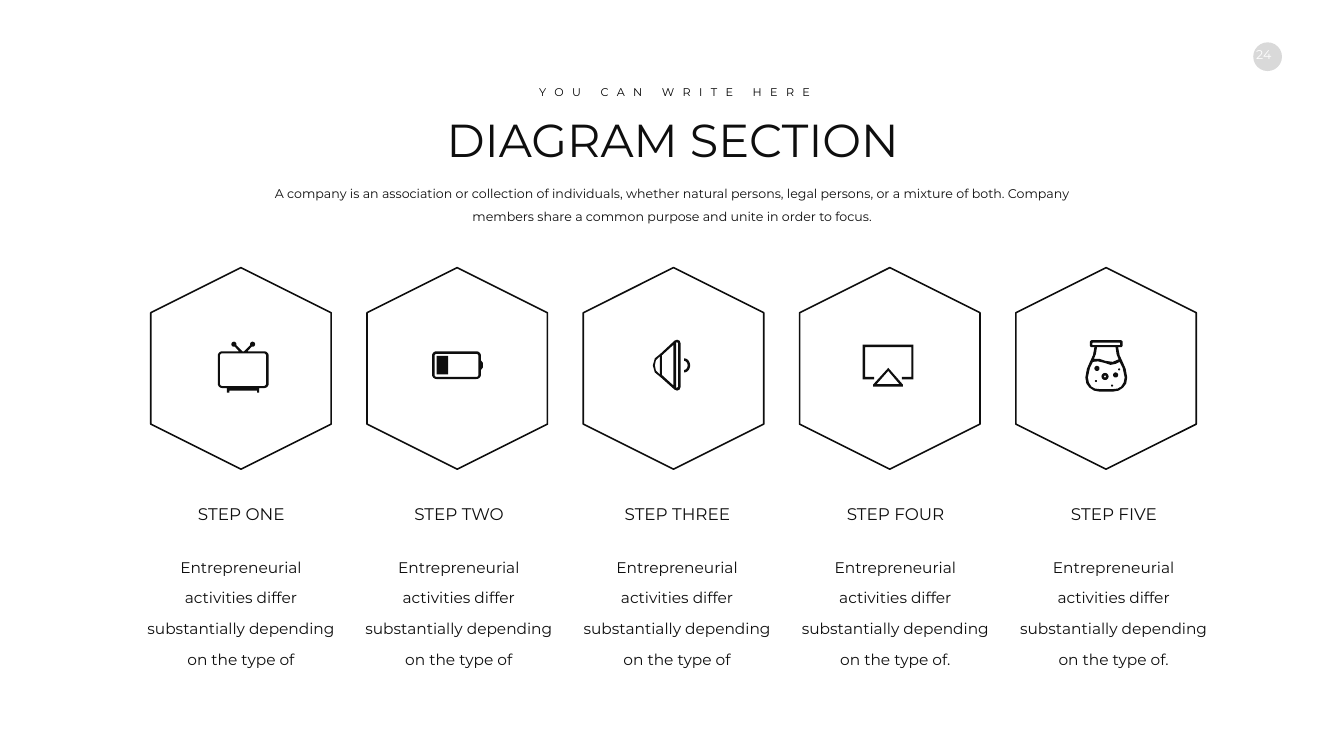
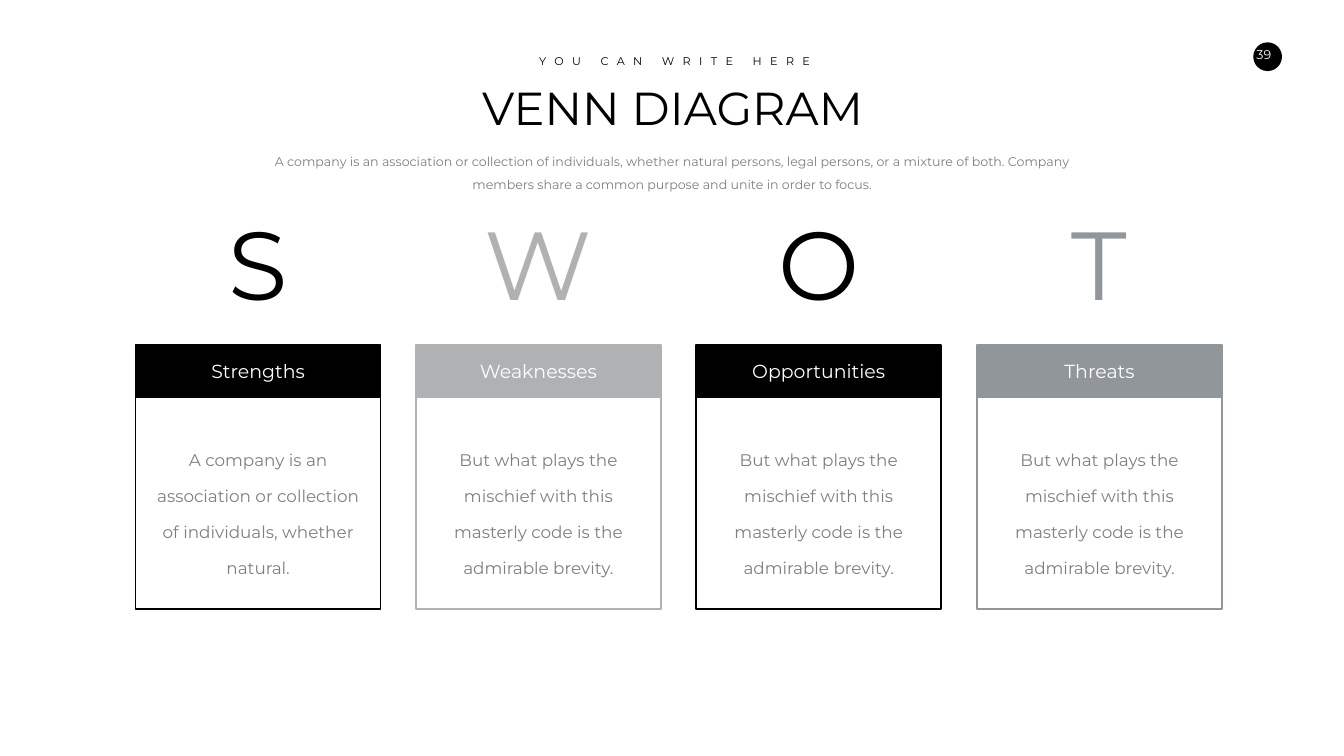
from dataclasses import dataclass
from math import cos, radians, sin

from lxml.etree import SubElement
from pptx import Presentation
from pptx.dml.color import RGBColor
from pptx.enum.shapes import MSO_SHAPE
from pptx.enum.text import MSO_ANCHOR, PP_ALIGN
from pptx.oxml.ns import qn
from pptx.util import Pt

PX = 9144  # EMU in one px, 100 px to the inch


@dataclass(frozen=True)
class Theme:
    font: str = "Montserrat"
    black: str = "000000"
    ink: str = "0E0E0E"
    white: str = "FFFFFF"
    grey: str = "7F7F7F"
    silver: str = "B0B1B3"
    slate: str = "91969B"
    kicker: int = 16
    small: int = 18
    step_text: int = 22
    label: int = 24
    band: int = 27
    title: int = 66
    letter: int = 138
    outline: float = 2.25


THEME = Theme()
INSETS = (10, 5, 10, 5)
CARD_INSETS = (27, 13, 27, 13)
BLURB = ("A company is an association or collection of individuals, whether natural persons, "
         "legal persons, or a mixture of both. Company members share a common purpose "
         "and unite in order to focus.")


# Shared helpers
def assign(target, values):
    for name, value in values.items():
        setattr(target, name, value)


def emu(*lengths):
    return [round(length * PX) for length in lengths]


def write(shape, text, size, color, insets=INSETS, spacing=None, middle=False, wrap=True, tracking=0):
    left, top, right, bottom = emu(*insets)
    frame = shape.text_frame
    assign(frame, {
        "margin_left": left, "margin_top": top, "margin_right": right, "margin_bottom": bottom,
        "word_wrap": wrap,
        "vertical_anchor": MSO_ANCHOR.MIDDLE if middle else MSO_ANCHOR.TOP,
    })
    paragraph = frame.paragraphs[0]
    assign(paragraph, {"alignment": PP_ALIGN.CENTER, "line_spacing": spacing})
    run = paragraph.add_run()
    run.text = text
    assign(run.font, {"name": THEME.font, "size": Pt(size)})
    run.font.color.rgb = RGBColor.from_string(color)
    if tracking:
        run.font._element.set("spc", str(tracking * 100))


def add_text(slide, box, text, size, color, **options):
    write(slide.shapes.add_textbox(*emu(*box)), text, size, color, **options)


def paint(shape, fill=None, line=None):
    shape.shadow.inherit = False
    if fill:
        shape.fill.solid()
        shape.fill.fore_color.rgb = RGBColor.from_string(fill)
    else:
        shape.fill.background()
    if line:
        shape.line.color.rgb = RGBColor.from_string(line)
        shape.line.width = Pt(THEME.outline)
    else:
        shape.line.fill.background()


def add_figure(slide, preset, box, fill=None, line=None):
    shape = slide.shapes.add_shape(preset, *emu(*box))
    paint(shape, fill, line)
    return shape


# Regions found on both slides
def page_badge(slide, left, top, number):
    add_figure(slide, MSO_SHAPE.OVAL, (left + 16, top, 57, 57), THEME.black)
    add_text(slide, (left, top, 86, 50), number, THEME.small, THEME.white, insets=(14, 10, 26, 10))


def heading(slide, top, title, title_width, title_color, blurb_color):
    center = 1334
    # The left inset balances the tracking after the last letter
    add_text(slide, (center - 293, top, 578, 37), "YOU CAN WRITE HERE", THEME.kicker, THEME.black,
             insets=(17, 5, 0, 5), wrap=False, tracking=12)
    add_text(slide, (center - title_width // 2, top + 50, title_width, 121), title,
             THEME.title, title_color)
    add_text(slide, (center - 802, top + 184, 1603, 95), BLURB, THEME.small, blurb_color, spacing=1.5)


# Outlines for the icons, in px from the icon's top left corner
def arc(x, y, rx, ry, start, end, steps=12):
    angles = [radians(start + (end - start) * i / steps) for i in range(steps + 1)]
    return [(x + rx * cos(a), y + ry * sin(a)) for a in angles]


def disc(x, y, radius):
    return arc(x, y, radius, radius, 0, 360, 24)


def rounded(left, top, width, height, r):
    right, bottom = left + width, top + height
    corners = [(right - r, bottom - r), (left + r, bottom - r), (left + r, top + r), (right - r, top + r)]
    return [point for i, (x, y) in enumerate(corners)
            for point in arc(x, y, r, r, 90 * i, 90 * i + 90, 6)]


def mirrored(points, width):
    return [(width - x, y) for x, y in reversed(points)]


def television():
    antenna = [(34, 10), (37, 7), (49, 19), (42, 19)]
    return [
        rounded(0, 19, 101, 73, 9), rounded(4, 23, 92, 65, 5),
        disc(32, 5, 5), disc(69, 5, 5), antenna, mirrored(antenna, 101),
        [(18, 92), (82, 92), (82, 101), (78, 101), (78, 97), (23, 97), (23, 101), (18, 101)],
    ]


def battery():
    return [
        rounded(0, 0, 97, 55, 9), rounded(5, 5, 87, 46, 4),
        [(97, 18), (101, 23), (101, 32), (97, 37)],
        [(9, 9), (32, 9), (32, 46), (9, 46)],
    ]


def speaker():
    return [
        [(43, 2), (48, 0), (53, 2), (55, 7), (55, 94), (53, 99), (48, 101), (43, 99),
         (15, 74), (4, 65), (0, 51), (4, 37), (15, 28)],
        [(41, 10), (41, 91), (18, 70), (18, 31)],
        [(46, 5), (50, 6), (50, 94), (46, 96)],
        [(14, 33), (14, 69), (6, 61), (4, 51), (6, 41)],
        arc(62, 51, 12, 14, -90, 90) + arc(62, 51, 7, 9, 90, -90),
    ]


def screen():
    return [
        [(0, 0), (101, 0), (101, 69), (78, 69), (78, 64), (97, 64), (97, 5), (5, 5),
         (5, 64), (23, 64), (23, 69), (0, 69)],
        [(21, 83), (21, 79), (51, 46), (80, 79), (80, 83)],
        [(28, 78), (51, 52), (73, 78)],
    ]


def flask():
    glass = [(28, 102), (17, 100), (8, 94), (2, 86), (0, 74), (3, 57), (9, 43), (15, 30), (18, 14)]
    liquid = [(15, 43), (25, 42), (38, 45), (50, 49), (60, 47), (68, 43), (74, 55), (78, 74),
              (76, 84), (71, 92), (64, 96), (55, 97), (28, 97), (19, 96), (12, 92), (7, 84),
              (5, 74), (9, 55)]
    air = [(23, 14), (60, 14), (62, 28), (66, 38), (54, 43), (40, 41), (28, 37), (17, 37), (21, 27)]
    bubbles = [(23, 56, 5), (39, 72, 7), (39, 72, 2), (60, 69, 5), (67, 58, 2), (21, 81, 2), (53, 90, 2)]
    return [
        rounded(9, 0, 65, 14, 4), rounded(14, 5, 55, 5, 1),
        glass + mirrored(glass, 83), liquid, air,
        *(disc(*bubble) for bubble in bubbles),
    ]


def add_icon(slide, left, top, outlines):
    scaled = [[emu(x, y) for x, y in outline] for outline in outlines]
    builder = slide.shapes.build_freeform(*scaled[0][0])
    for i, (start, *rest) in enumerate(scaled):
        if i:
            builder.move_to(*start)
        builder.add_line_segments(rest, close=True)
    paint(builder.convert_to_shape(*emu(left, top)), THEME.ink)


# Slide with five steps
def step_hexagon(slide, left, top, icon, icon_x, icon_y):
    hexagon = add_figure(slide, MSO_SHAPE.HEXAGON, (left, top, 400, 358), line=THEME.ink)
    hexagon.rotation = 270
    hexagon.adjustments[0] = 0.25
    add_icon(slide, left + icon_x, top + icon_y, icon())


def step_caption(slide, left, top, label, label_width, text):
    add_text(slide, (left + 200 - label_width // 2, top, label_width, 50), label, THEME.label, THEME.ink)
    add_text(slide, (left, top + 82, 400, 270), text, THEME.step_text, THEME.ink, spacing=1.67)


def steps_slide(slide, width, height):
    page_badge(slide, 2470, 84, "24")
    # Translucent veil that pales the badge
    veil = add_figure(slide, MSO_SHAPE.RECTANGLE, (0, 0, width, height), THEME.white)
    color = veil.fill._xPr.find(qn("a:solidFill"))[0]
    SubElement(color, qn("a:alpha"), val="85000")
    heading(slide, 165, "DIAGRAM SECTION", 1041, THEME.ink, THEME.ink)

    text = "Entrepreneurial activities differ substantially depending on the type of"
    steps = [
        ("STEP ONE", 223, text, television, 154, 126),
        ("STEP TWO", 229, text, battery, 150, 145),
        ("STEP THREE", 269, text, speaker, 159, 122),
        ("STEP FOUR", 247, text + ".", screen, 146, 132),
        ("STEP FIVE", 227, text + ".", flask, 159, 123),
    ]
    for i, (label, label_width, words, icon, icon_x, icon_y) in enumerate(steps):
        step_hexagon(slide, 278 + 429 * i, 552, icon, icon_x, icon_y)
        step_caption(slide, 278 + 1731 * i // 4, 995, label, label_width, words)


# Slide with four cards
def swot_card(slide, left, top, letter, name, text, color):
    width = 486
    add_text(slide, (left, top, width, 203), letter, THEME.letter, color,
             insets=CARD_INSETS, middle=True)
    band = add_figure(slide, MSO_SHAPE.RECTANGLE, (left, top + 266, width, 104), color, color)
    write(band, name, THEME.band, THEME.white, insets=CARD_INSETS, middle=True)
    body = add_figure(slide, MSO_SHAPE.RECTANGLE, (left, top + 370, width, 419), line=color)
    write(body, text, THEME.label, THEME.grey, insets=(40, 23, 40, 13), spacing=1.79, middle=True)


def swot_slide(slide):
    page_badge(slide, 2470, 84, "39")
    heading(slide, 102, "VENN DIAGRAM", 874, THEME.black, THEME.grey)
    company = "A company is an association or collection of individuals, whether natural."
    mischief = "But what plays the mischief with this masterly code is the admirable brevity."
    cards = [
        ("S", "Strengths", company, THEME.black),
        ("W", "Weaknesses", mischief, THEME.silver),
        ("O", "Opportunities", mischief, THEME.black),
        ("T", "Threats", mischief, THEME.slate),
    ]
    for i, card in enumerate(cards):
        swot_card(slide, 269 + 1669 * i // 3, 419, *card)


def main():
    width, height = 2666, 1500
    deck = Presentation()
    assign(deck, {"slide_width": width * PX, "slide_height": height * PX})
    blank = deck.slide_layouts[6]
    steps_slide(deck.slides.add_slide(blank), width, height)
    swot_slide(deck.slides.add_slide(blank))
    deck.save("out.pptx")


if __name__ == "__main__":
    main()
